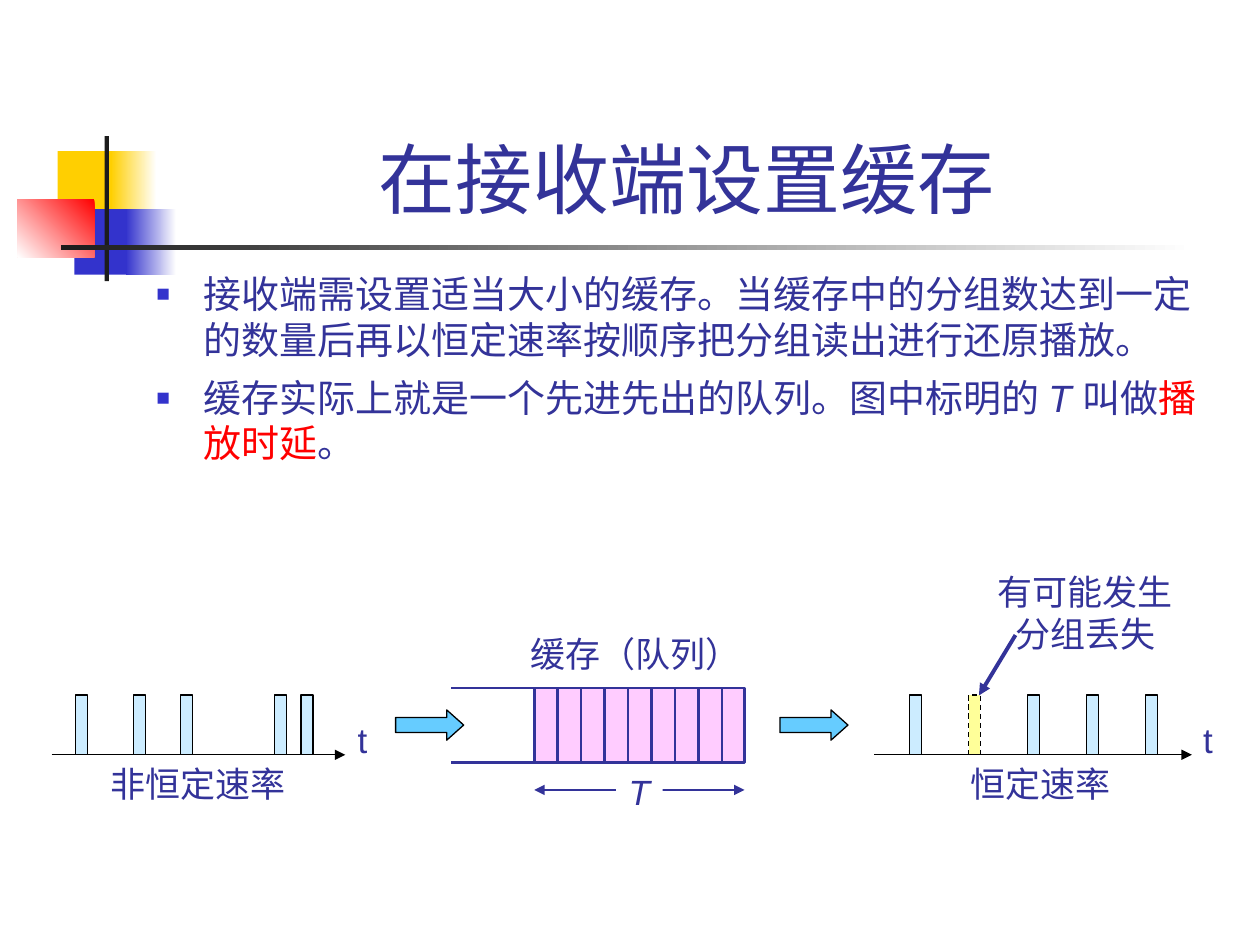
from lxml import etree
from pptx import Presentation
from pptx.dml.color import RGBColor
from pptx.enum.dml import MSO_LINE
from pptx.enum.shapes import MSO_CONNECTOR, MSO_SHAPE
from pptx.enum.text import MSO_ANCHOR, MSO_AUTO_SIZE, PP_ALIGN
from pptx.oxml.ns import qn
from pptx.util import Pt

RECT, ARROW = MSO_SHAPE.RECTANGLE, MSO_SHAPE.RIGHT_ARROW
STRAIGHT, DASH = MSO_CONNECTOR.STRAIGHT, MSO_LINE.DASH
LEFT, CENTER, BOTTOM = PP_ALIGN.LEFT, PP_ALIGN.CENTER, MSO_ANCHOR.BOTTOM
FIXED, GROW = MSO_AUTO_SIZE.NONE, MSO_AUTO_SIZE.SHAPE_TO_FIT_TEXT

FONT = "Arial"
INK, BLACK, WHITE, RED = "333399", "000000", "FFFFFF", "FF0000"
BLUE, GOLD, DARK = "3333CC", "FFCF01", "1C1C1C"
SKY, PALE, PINK, CREAM = "66CCFF", "CCECFF", "FFCCFF", "FFFF99"
BASE, BAR_TOP, BAR_W = 431.3, 397.2, 6.8
Q_TOP, Q_BASE, Q_LEFT, Q_RIGHT = 393.1, 435.6, 305.3, 425.5


def rgb(value):
    return RGBColor.from_string(value)


def write(par, text, size=20, color=INK, italic=False):
    run = par.add_run()
    run.text = text
    font = run.font
    font.name, font.size, font.italic = FONT, Pt(size), italic
    font.color.rgb = rgb(color)


def place(item, left, top, width, height):
    item.left, item.top = Pt(left), Pt(top)
    item.width, item.height = Pt(width), Pt(height)


def paint(item, fill, line=None, width=0.75):
    item.shadow.inherit = False
    if fill:
        item.fill.solid()
        item.fill.fore_color.rgb = rgb(fill)
    else:
        item.fill.background()
    if line:
        item.line.color.rgb = rgb(line)
        item.line.width = Pt(width)
    else:
        item.line.fill.background()


def shape(slide, kind, box, fill, line=None):
    item = slide.shapes.add_shape(kind, *map(Pt, box))
    paint(item, fill, line)
    return item


def fade(slide, box, start, end, angle):
    """Draw a rectangle with a gradient; the angle runs counter-clockwise."""
    item = shape(slide, RECT, box, start)
    item.fill.gradient()
    item.fill.gradient_angle = angle
    for stop, color in zip(item.fill.gradient_stops, (start, end)):
        stop.color.rgb = rgb(color)


def outline(slide, points, fill, line, width=0.75):
    """Draw an open outline through the points."""
    (left, top), *rest = [(Pt(x), Pt(y)) for x, y in points]
    form = slide.shapes.build_freeform(left, top)
    form.add_line_segments(rest, close=False)
    item = form.convert_to_shape()
    paint(item, fill, line, width)
    return item


def line(slide, start, end, color, width, head=False, tail=False):
    item = slide.shapes.add_connector(STRAIGHT, *map(Pt, start + end))
    item.line.color.rgb = rgb(color)
    item.line.width = Pt(width)
    stroke = item.line._get_or_add_ln()
    for name, wanted in (("a:headEnd", head), ("a:tailEnd", tail)):
        if wanted:
            etree.SubElement(stroke, qn(name), type="triangle")
    etree.SubElement(item._element.spPr, qn("a:effectLst"))


def label(slide, box, *lines, align=LEFT, fill=None, **style):
    item = slide.shapes.add_textbox(*map(Pt, box))
    frame = item.text_frame
    frame.word_wrap, frame.auto_size = False, GROW
    if fill:
        paint(item, fill)
    for i, text in enumerate(lines):
        par = frame.add_paragraph() if i else frame.paragraphs[0]
        par.alignment = align
        write(par, text, **style)


def bullet(par):
    props = par._p.get_or_add_pPr()
    props.set("marL", str(Pt(27)))
    props.set("indent", str(-Pt(27)))
    color = etree.SubElement(props, qn("a:buClr"))
    etree.SubElement(color, qn("a:srgbClr"), val=BLUE)
    etree.SubElement(props, qn("a:buSzPct"), val="60000")
    etree.SubElement(props, qn("a:buFont"), typeface=FONT)
    etree.SubElement(props, qn("a:buChar"), char="■")


def bar(slide, left, fill=PALE):
    right = left + BAR_W
    points = [(left, BASE), (left, BAR_TOP), (right, BAR_TOP), (right, BASE)]
    return outline(slide, points, fill, BLACK)


def decor(slide):
    shape(slide, RECT, (33, 86.4, 34.6, 37.4), GOLD)
    fade(slide, (63.4, 86.4, 26, 37.4), WHITE, GOLD, 180)
    shape(slide, RECT, (42.5, 119.5, 33, 37.4), BLUE)
    fade(slide, (72, 119.5, 28.8, 37.4), WHITE, BLUE, 180)
    fade(slide, (10, 113.8, 44, 33.1), RED, WHITE, 225)
    shape(slide, RECT, (59.8, 77.8, 2.5, 82.8), DARK)
    fade(slide, (34.6, 140.2, 648, 2.5), WHITE, DARK, 180)


def heading(slide):
    title = slide.shapes.title
    place(title, 90.7, 16.6, 613.4, 115.2)
    frame = title.text_frame
    frame.vertical_anchor, frame.auto_size = BOTTOM, FIXED
    frame.paragraphs[0].alignment = CENTER
    write(frame.paragraphs[0], "在接收端设置缓存 ", size=44)


def points(slide):
    body = slide.placeholders[1]
    place(body, 82.1, 151.2, 612, 141.8)
    frame = body.text_frame
    frame.auto_size = FIXED
    items = [
        [("接收端需设置适当大小的缓存。当缓存中的分组数达到一定的数量后"
          "再以恒定速率按顺序把分组读出进行还原播放。", {})],
        [("缓存实际上就是一个先进先出的队列。图中标明的 ", {}),
         ("T ", {"italic": True}), ("叫做", {}),
         ("播放时延", {"color": RED}), ("。", {})],
    ]
    for i, runs in enumerate(items):
        par = frame.add_paragraph() if i else frame.paragraphs[0]
        bullet(par)
        par.space_before = Pt(7 if i else 0)
        for text, style in runs:
            write(par, text, size=21.7, **style)


def source(slide):
    for left in (43.2, 76.5, 103.3, 157, 172):
        bar(slide, left)
    line(slide, (29.5, BASE), (197.3, BASE), BLACK, 0.75, tail=True)
    label(slide, (197.3, 406.8, 19.4, 31.7), "t")
    label(slide, (56.2, 432, 114.5, 31.7), "非恒定速率")


def queue(slide):
    shape(slide, RECT, (Q_LEFT, 393.8, 119.5, 41), PINK)
    outline(slide, [(257.8, Q_TOP), (Q_RIGHT, Q_TOP),
                    (Q_RIGHT, Q_BASE), (257.8, Q_BASE)], None, INK, 1.5)
    for i in range(9):
        left = Q_LEFT + 13.4 * i
        line(slide, (left, Q_TOP), (left, Q_BASE), INK, 1.5)
    label(slide, (295.9, 357.8, 134.6, 31.7), "缓存（队列）")
    line(slide, (Q_LEFT, 451.4), (Q_RIGHT, 451.4), INK, 1.5,
         head=True, tail=True)
    label(slide, (352.1, 437, 26.6, 31.7), "T", fill=WHITE, italic=True)
    for left in (226.1, 445.7):
        arrow = shape(slide, ARROW, (left, 405.7, 38.9, 17.3), SKY, BLACK)
        arrow.adjustments[1] = 0.56


def output(slide):
    for i in range(5):
        lost = i == 1
        item = bar(slide, 519.8 + 33.7 * i, CREAM if lost else PALE)
        if lost:
            item.line.dash_style = DASH
    line(slide, (499.7, BASE), (681.1, BASE), BLACK, 0.75, tail=True)
    label(slide, (680.4, 406.8, 19.4, 31.7), "t")
    label(slide, (547.2, 432, 94.3, 31.7), "恒定速率")
    label(slide, (563, 322.6, 114.5, 55.4), "有可能发生", "分组丢失",
          align=CENTER)
    line(slide, (580.3, 362.9), (559.4, 397.4), INK, 2.25, tail=True)


def main():
    deck = Presentation()
    deck.slide_width, deck.slide_height = Pt(720), Pt(540)
    slide = deck.slides.add_slide(deck.slide_layouts[1])
    for part in (decor, heading, points, source, queue, output):
        part(slide)
    deck.save("out.pptx")


if __name__ == "__main__":
    main()
